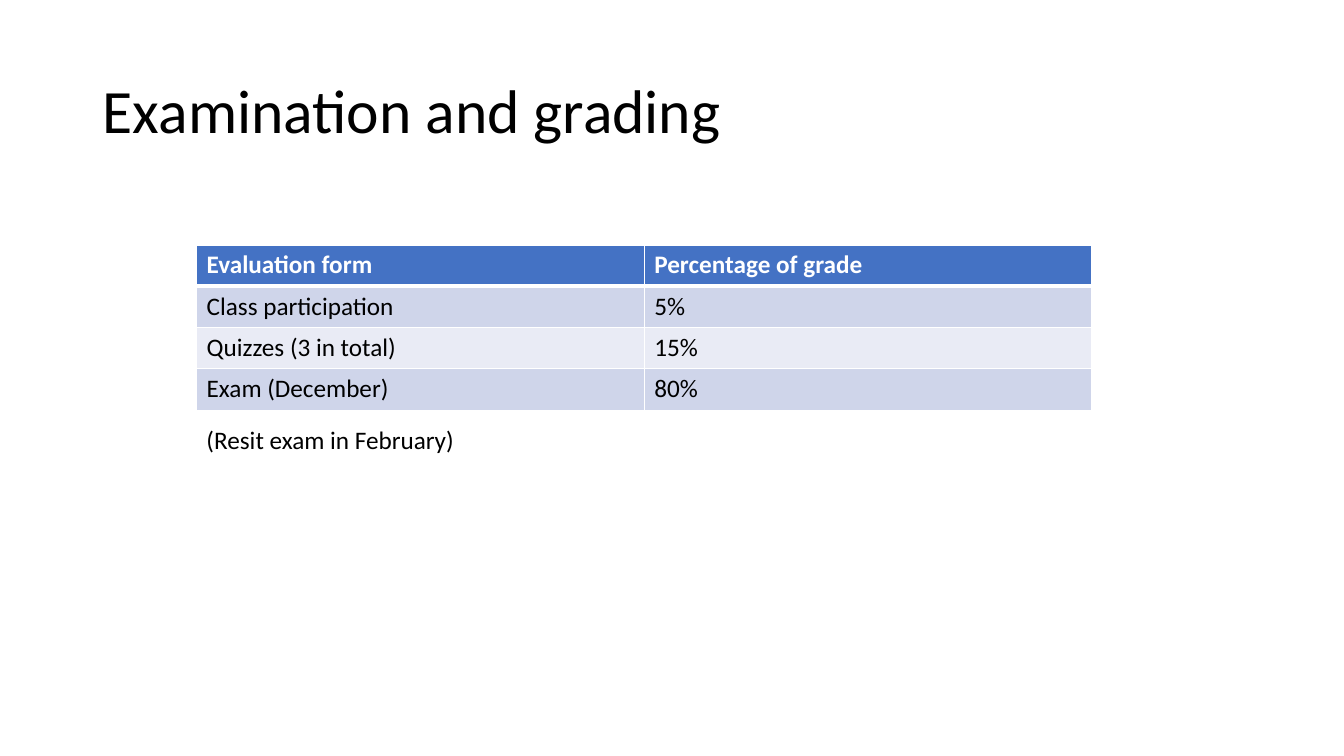
from lxml import etree
from pptx import Presentation
from pptx.dml.color import RGBColor
from pptx.enum import text
from pptx.oxml import ns
from pptx.util import Inches, Pt

TITLE = "Examination and grading"
ROWS = [
    ("Evaluation form", "Percentage of grade"),
    ("Class participation", "5%"),
    ("Quizzes (3 in total)", "15%"),
    ("Exam (December)", "80%"),
]
NOTE = "(Resit exam in February)"
HEADER_FILL = "4472C4"
BAND_FILLS = ("CFD5EA", "E9EBF5")
BLACK, WHITE = "000000", "FFFFFF"
TABLE_LEFT, TABLE_TOP = 1.95, 2.43
COLUMN_WIDTH, ROW_HEIGHT = 4.44, 0.41


def color(value):
    return RGBColor.from_string(value)


def write(frame, content, size=18, fill=BLACK, bold=False, spacing=None,
          anchor=text.MSO_ANCHOR.TOP):
    frame.word_wrap = True
    frame.vertical_anchor = anchor
    paragraph = frame.paragraphs[0]
    paragraph.alignment = text.PP_ALIGN.LEFT
    paragraph.line_spacing = spacing
    run = paragraph.add_run()
    run.text = content
    run.font.name = "Calibri"
    run.font.size = Pt(size)
    run.font.bold = bold
    run.font.color.rgb = color(fill)


def set_borders(cell, **widths):
    properties = cell._tc.get_or_add_tcPr()
    for position, side in enumerate("LRTB"):
        line = etree.Element(ns.qn(f"a:ln{side}"), w=str(Pt(widths.get(side, 1))))
        solid = etree.SubElement(line, ns.qn("a:solidFill"))
        etree.SubElement(solid, ns.qn("a:srgbClr"), val=WHITE)
        properties.insert(position, line)


def place(shape, left, top, width, height):
    shape.left, shape.top = Inches(left), Inches(top)
    shape.width, shape.height = Inches(width), Inches(height)


def add_grades(slide):
    count, columns = len(ROWS), len(ROWS[0])
    table = slide.shapes.add_table(
        count, columns, Inches(TABLE_LEFT), Inches(TABLE_TOP),
        Inches(columns * COLUMN_WIDTH), Inches(count * ROW_HEIGHT)).table
    for row_index, values in enumerate(ROWS):
        header = row_index == 0
        table.rows[row_index].height = Inches(ROW_HEIGHT)
        for column_index, value in enumerate(values):
            cell = table.cell(row_index, column_index)
            cell.fill.solid()
            cell.fill.fore_color.rgb = color(
                HEADER_FILL if header else BAND_FILLS[(row_index - 1) % 2])
            write(cell.text_frame, value, fill=WHITE if header else BLACK, bold=header)
            set_borders(cell, B=3 if header else 1, T=3 if row_index == 1 else 1)


def main():
    presentation = Presentation()
    presentation.slide_width, presentation.slide_height = Inches(13.33), Inches(7.5)
    slide = presentation.slides.add_slide(presentation.slide_layouts[5])

    title = slide.shapes.title
    place(title, 0.92, 0.4, 11.5, 1.45)
    write(title.text_frame, TITLE, size=44, spacing=0.9, anchor=text.MSO_ANCHOR.MIDDLE)

    add_grades(slide)

    note = slide.shapes.add_textbox(
        Inches(TABLE_LEFT), Inches(4.16), Inches(6.93), Inches(0.4))
    write(note.text_frame, NOTE)
    note.text_frame.auto_size = text.MSO_AUTO_SIZE.SHAPE_TO_FIT_TEXT

    presentation.save("out.pptx")


if __name__ == "__main__":
    main()
